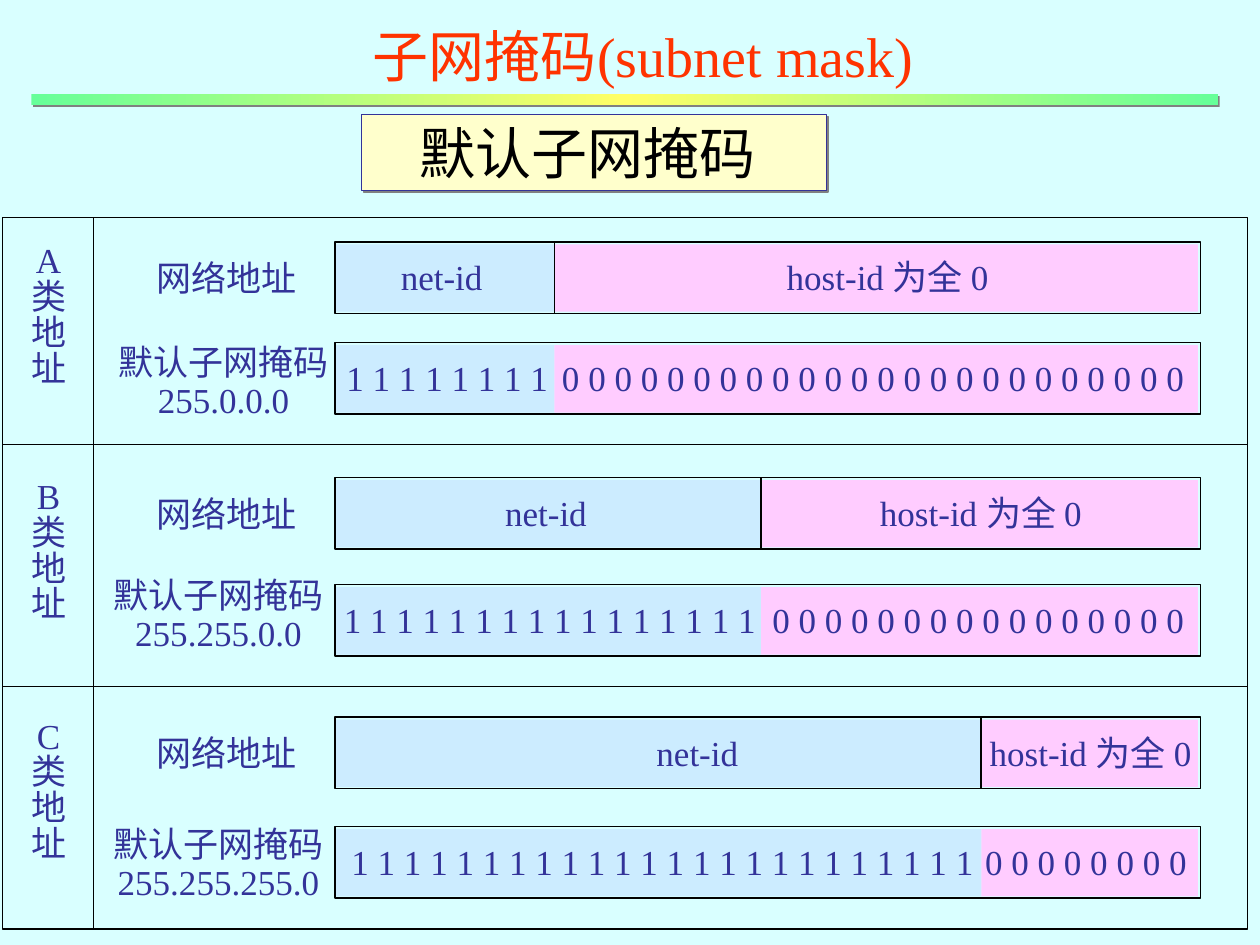
"""Build a slide on the default subnet masks of class A, B and C addresses."""
from collections import namedtuple

from lxml import etree
from pptx import Presentation
from pptx.dml.color import RGBColor
from pptx.enum.shapes import MSO_CONNECTOR, MSO_SHAPE
from pptx.enum.text import MSO_ANCHOR, MSO_AUTO_SIZE, PP_ALIGN
from pptx.oxml.ns import qn
from pptx.util import Pt

RECTANGLE = MSO_SHAPE.RECTANGLE
STRAIGHT = MSO_CONNECTOR.STRAIGHT
CENTER = PP_ALIGN.CENTER
MIDDLE = MSO_ANCHOR.MIDDLE
NO_AUTOFIT = MSO_AUTO_SIZE.NONE

COLORS = {
    "background": "D9FFFF", "net": "CCECFF", "host": "FFCCFF",
    "text": "333399", "black": "000000", "title_fill": "FFFFCC",
    "heading": "FF3300", "shadow": "808080",
    "rule_end": "66FF99", "rule_middle": "FFFF66",
}
FONT = "Times New Roman"
BAR_LEFT, BAR_WIDTH, BAR_HEIGHT = 191.5, 494.5, 41
SEGMENT_RIGHT = 684.5
GRID_LEFT, GRID_TOP, GRID_WIDTH, GRID_HEIGHT = 1.5, 124.5, 711.5, 406.5
TEXT_HEIGHT = 31

AddressClass = namedtuple(
    "AddressClass",
    "letter mask net_bits split address_top mask_top label_left label_top centers")
CLASSES = [
    AddressClass("A", "255.0.0.0", 8, 316.8, 138.2, 195.8, 60.5, 193.7,
                 (252.4, 507.2, 255.6, 499)),
    AddressClass("B", "255.255.0.0", 16, 435, 272.9, 334.1, 57.6, 326.9,
                 (312, 560.5, 314.3, 559.1)),
    AddressClass("C", "255.255.255.0", 24, 560.8, 409.7, 472.3, 57.6, 469.4,
                 (398.5, 623.2, 378.7, 620.6)),
]


def rgb(name):
    """Return the named colour."""
    return RGBColor.from_string(COLORS[name])


def write_text(shape, text, size=20, color="text", spacing=1.0, wrap=False, anchor=None):
    """Write centred lines of text into a shape."""
    frame = shape.text_frame
    frame.auto_size = NO_AUTOFIT
    frame.word_wrap = wrap
    if anchor is not None:
        frame.vertical_anchor = anchor
    frame.text = text
    for paragraph in frame.paragraphs:
        paragraph.alignment = CENTER
        paragraph.line_spacing = spacing
        paragraph.font.size = Pt(size)
        paragraph.font.name = FONT
        paragraph.font.color.rgb = rgb(color)


def add_text(slide, left, top, width, height, text, **text_format):
    """Add a text box."""
    box = slide.shapes.add_textbox(Pt(left), Pt(top), Pt(width), Pt(height))
    write_text(box, text, **text_format)


def add_rectangle(slide, left, top, width, height, fill=None, line_width=None):
    """Add a rectangle with an optional fill and black outline."""
    shape = slide.shapes.add_shape(RECTANGLE, Pt(left), Pt(top), Pt(width), Pt(height))
    shape.shadow.inherit = False
    if fill:
        shape.fill.solid()
        shape.fill.fore_color.rgb = rgb(fill)
    else:
        shape.fill.background()
    if line_width:
        shape.line.color.rgb = rgb("black")
        shape.line.width = Pt(line_width)
    else:
        shape.line.fill.background()
    return shape


def add_line(slide, x1, y1, x2, y2, width=0.75):
    """Add a straight black line."""
    line = slide.shapes.add_connector(STRAIGHT, Pt(x1), Pt(y1), Pt(x2), Pt(y2))
    line.line.color.rgb = rgb("black")
    line.line.width = Pt(width)
    etree.SubElement(line._element.spPr, qn("a:effectLst"))


def add_shadow(shape):
    """Give a shape a hard grey shadow to the lower right."""
    shape.shadow.inherit = False
    effects = shape._element.spPr.find(qn("a:effectLst"))
    shadow = etree.SubElement(effects, qn("a:outerShdw"), dist=str(Pt(1.4)),
                              dir="2700000", algn="ctr", rotWithShape="0")
    etree.SubElement(shadow, qn("a:srgbClr"), val=COLORS["shadow"])


def add_title(slide):
    """Place and format the title placeholder."""
    title = slide.shapes.title
    title.left, title.top, title.width, title.height = Pt(206.6), Pt(65.5), Pt(265.7), Pt(43.2)
    title.fill.solid()
    title.fill.fore_color.rgb = rgb("title_fill")
    title.line.color.rgb = rgb("text")
    title.line.width = Pt(0.75)
    add_shadow(title)
    write_text(title, "默认子网掩码 ", size=32, color="black", wrap=True, anchor=MIDDLE)


def add_heading_rule(slide):
    """Add the shaded bar below the heading."""
    rule = add_rectangle(slide, 18, 54, 678, 6)
    rule.fill.gradient()
    rule.fill.gradient_angle = 0
    stops = rule._element.spPr.find(qn("a:gradFill")).find(qn("a:gsLst"))
    for stop in list(stops):
        stops.remove(stop)
    for position, name in ((0, "rule_end"), (50000, "rule_middle"), (100000, "rule_end")):
        stop = etree.SubElement(stops, qn("a:gs"), pos=str(position))
        etree.SubElement(stop, qn("a:srgbClr"), val=COLORS[name])
    add_shadow(rule)


def add_bar(slide, top, split, parts, divided=False):
    """Add a framed bar of two segments, with parts as (text, centre, width)."""
    edges = (BAR_LEFT, split, SEGMENT_RIGHT)
    for left, right, fill in zip(edges, edges[1:], ("net", "host")):
        add_rectangle(slide, left, top + 1.5, right - left, 38.5, fill=fill)
    if divided:
        add_line(slide, split, top, split, top + BAR_HEIGHT, width=1)
    add_rectangle(slide, BAR_LEFT, top, BAR_WIDTH, BAR_HEIGHT, line_width=1)
    for text, center, width in parts:
        add_text(slide, center - width / 2, top + 4.5, width, TEXT_HEIGHT, text)


def add_bits(digit, count, center):
    """Return the text, centre and width of a row of equal bits."""
    return " ".join(digit * count), center, 9.5 + 15 * count


def add_address_class(slide, item):
    """Add the labels and both bars of one address class."""
    net, host, ones, zeros = item.centers
    add_text(slide, 10.5, item.address_top - 1.5, 34.5, 89.5,
             "\n".join(item.letter + "类地址"), spacing=0.85)
    add_text(slide, 82.5, item.address_top + 5, 94.5, TEXT_HEIGHT, "网络地址")
    add_text(slide, item.label_left, item.label_top, 134.5, 50.5,
             "默认子网掩码\n" + item.mask, spacing=0.9)
    add_bar(slide, item.address_top, item.split,
            [("net-id", net, 61), ("host-id 为全 0", host, 144.5)], divided=True)
    add_bar(slide, item.mask_top, item.split,
            [add_bits("1", item.net_bits, ones), add_bits("0", 32 - item.net_bits, zeros)])


def add_grid(slide):
    """Add the outer frame with its row and column lines."""
    add_rectangle(slide, GRID_LEFT, GRID_TOP, GRID_WIDTH, GRID_HEIGHT, line_width=0.75)
    for y in (254, 392.5):
        add_line(slide, GRID_LEFT, y, GRID_LEFT + GRID_WIDTH, y)
    add_line(slide, 53.3, GRID_TOP, 53.3, GRID_TOP + GRID_HEIGHT)


def main():
    """Build and save the presentation."""
    presentation = Presentation()
    presentation.slide_width, presentation.slide_height = Pt(720), Pt(540)
    slide = presentation.slides.add_slide(presentation.slide_layouts[5])
    slide.background.fill.solid()
    slide.background.fill.fore_color.rgb = rgb("background")
    add_grid(slide)
    for item in CLASSES:
        add_address_class(slide, item)
    add_title(slide)
    add_text(slide, 70.5, 0, 594, 62.5, "子网掩码(subnet mask)",
             size=32, color="heading", wrap=True, anchor=MIDDLE)
    add_heading_rule(slide)
    presentation.save("out.pptx")


if __name__ == "__main__":
    main()
